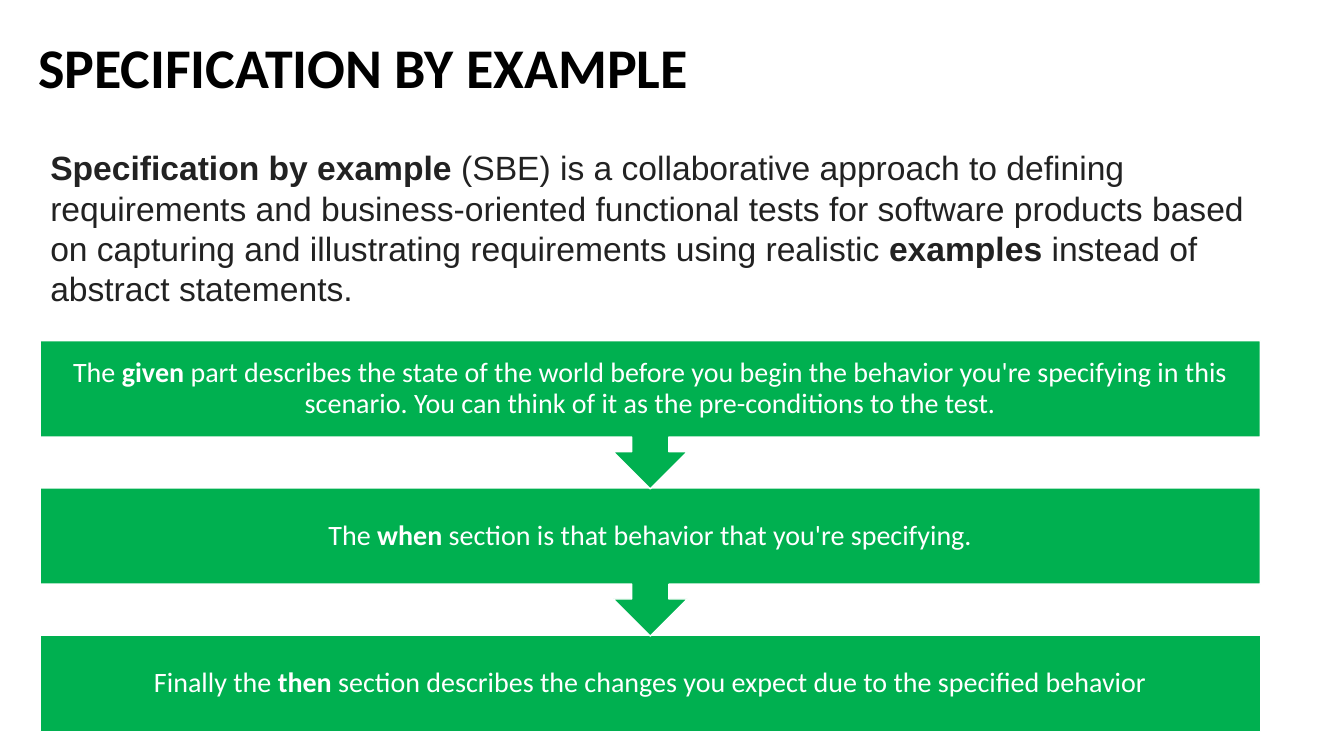
from dataclasses import dataclass

from pptx import Presentation
from pptx.dml.color import RGBColor
from pptx.enum import shapes, text
from pptx.util import Inches, Pt


@dataclass(frozen=True)
class Theme:
    green: RGBColor = RGBColor(0x00, 0xB0, 0x50)
    white: RGBColor = RGBColor(0xFF, 0xFF, 0xFF)
    black: RGBColor = RGBColor(0x00, 0x00, 0x00)
    ink: RGBColor = RGBColor(0x22, 0x22, 0x22)
    head: str = "Calibri"
    body: str = "Arial"
    title: int = 40
    intro: int = 24
    step: int = 20


THEME = Theme()

TITLE = [("SPECIFICATION BY EXAMPLE", True)]
INTRO = [
    ("Specification by example", True),
    (" (SBE) is a collaborative approach to defining requirements and "
     "business-oriented functional tests for software products based on "
     "capturing and illustrating requirements using realistic ", False),
    ("examples", True),
    (" instead of abstract statements.", False),
]
STEPS = [
    [("The ", False), ("given", True),
     (" part describes the state of the world before you begin the behavior "
      "you're specifying in this scenario. You can think of it as the "
      "pre-conditions to the test.", False)],
    [("The ", False), ("when", True),
     (" section is that behavior that you're specifying.", False)],
    [("Finally the ", False), ("then", True),
     (" section describes the changes you expect due to the specified "
      "behavior", False)],
]

LEFT, TOP, WIDTH = 0.4, 3.38, 12.1
BOX, CALLOUT, PITCH = 0.96, 1.47, 1.46
INSET = Inches(0.16)


def add_runs(para, runs, font, size, color):
    """Add (words, bold) pairs to a paragraph."""
    for words, bold in runs:
        run = para.add_run()
        run.text = words
        run.font.name = font
        run.font.size = Pt(size)
        run.font.bold = bold
        run.font.color.rgb = color


def add_label(slide, area, runs, font, size, color):
    box = slide.shapes.add_textbox(*map(Inches, area))
    frame = box.text_frame
    frame.word_wrap = True
    frame.auto_size = text.MSO_AUTO_SIZE.SHAPE_TO_FIT_TEXT
    add_runs(frame.paragraphs[0], runs, font, size, color)


def add_step(slide, top, runs, last):
    """Add a green bar, with an arrow to the next one unless it is last."""
    kinds = shapes.MSO_SHAPE
    kind = kinds.RECTANGLE if last else kinds.DOWN_ARROW_CALLOUT
    height = BOX if last else CALLOUT
    bar = slide.shapes.add_shape(
        kind, Inches(LEFT), Inches(top), Inches(WIDTH), Inches(height))
    if not last:
        for i, part in enumerate((0.25, 0.25, 0.25, 0.65)):
            bar.adjustments[i] = part
    bar.shadow.inherit = False
    bar.fill.solid()
    bar.fill.fore_color.rgb = THEME.green
    bar.line.color.rgb = THEME.white
    bar.line.width = Pt(1)

    frame = bar.text_frame
    frame.word_wrap = True
    frame.vertical_anchor = text.MSO_ANCHOR.MIDDLE
    frame.margin_left = frame.margin_right = INSET
    frame.margin_top = frame.margin_bottom = INSET
    para = frame.paragraphs[0]
    para.alignment = text.PP_ALIGN.CENTER
    para.line_spacing = 0.9
    add_runs(para, runs, THEME.head, THEME.step, THEME.white)


def main():
    deck = Presentation()
    deck.slide_width, deck.slide_height = Inches(13.33), Inches(7.5)
    slide = deck.slides.add_slide(deck.slide_layouts[6])

    # Bottom bar first, so each arrow tip lies over the bar below it.
    final = len(STEPS) - 1
    for i in range(final, -1, -1):
        add_step(slide, TOP + i * PITCH, STEPS[i], i == final)

    add_label(slide, (0.28, 0.27, 8.53, 0.77), TITLE,
              THEME.head, THEME.title, THEME.black)
    add_label(slide, (0.4, 1.41, 12.35, 1.72), INTRO,
              THEME.body, THEME.intro, THEME.ink)
    deck.save("out.pptx")


if __name__ == "__main__":
    main()
